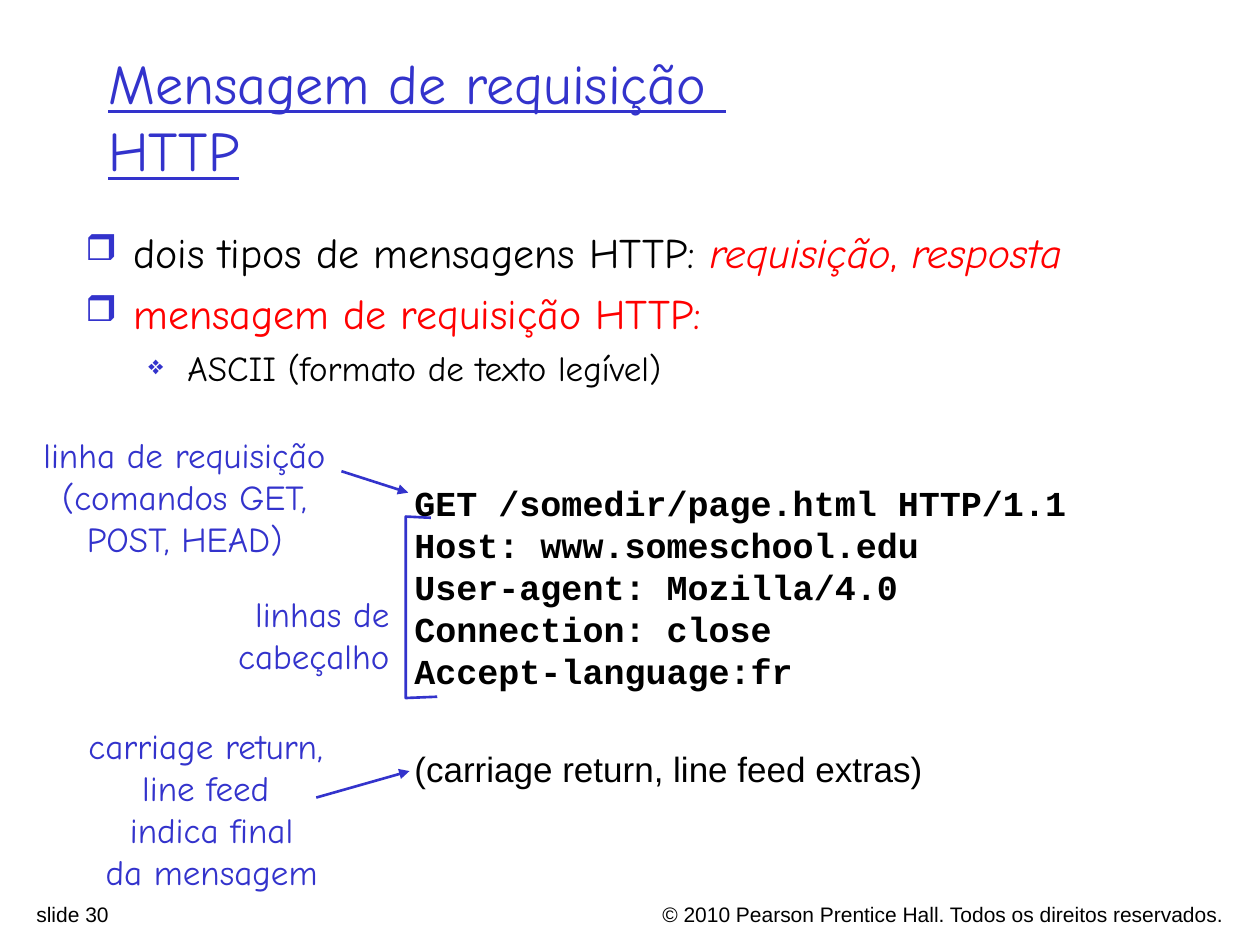
from lxml import etree
from pptx import Presentation
from pptx.dml.color import RGBColor
from pptx.enum import shapes, text
from pptx.oxml import ns
from pptx.util import Inches, Pt

BLUE = RGBColor(0x33, 0x33, 0xCC)
RED = RGBColor(0xFF, 0x00, 0x00)
BLACK = RGBColor(0x00, 0x00, 0x00)
HAND, MONO, SANS = "Comic Neue", "Courier New", "Arial"
LEFT, CENTER, RIGHT = text.PP_ALIGN.LEFT, text.PP_ALIGN.CENTER, text.PP_ALIGN.RIGHT

TITLE = ["Mensagem de requisição \vHTTP"]
TOP_LEVEL = dict(margin=0.38, hang=0.38, mark="❒", mark_size=85, before=0, size=24)
SECOND = dict(margin=0.81, hang=0.31, mark="❖", mark_size=75, before=5, size=20)
BULLETS = [
    (TOP_LEVEL, [
        ("dois tipos de mensagens HTTP: ", BLACK, False),
        ("requisição", RED, True),
        (", ", RED, False),
        ("resposta", RED, True),
    ]),
    (dict(TOP_LEVEL, before=6), [("mensagem de requisição HTTP:", RED, False)]),
    (SECOND, [("ASCII (formato de texto legível)", BLACK, False)]),
]
REQUEST = [
    "GET /somedir/page.html HTTP/1.1",
    "Host: www.someschool.edu",
    "User-agent: Mozilla/4.0",
    "Connection: close",
    "Accept-language:fr",
]
REQUEST_END = "(carriage return, line feed extras)"
LABELS = [
    ((0.24, 3.39, 2.45, 1.1), CENTER,
     ["linha de requisição", "(comandos GET,\vPOST, HEAD)"]),
    ((1.79, 4.65, 1.4, 0.77), RIGHT, ["linhas de", "cabeçalho"]),
    ((0.6, 5.7, 2.16, 1.44), CENTER,
     ["carriage return, ", "line feed ", "indica final\vda mensagem"]),
]
ARROWS = [((2.71, 3.74), (3.24, 3.91)), ((2.51, 6.33), (3.25, 6.12))]
HEADER_BRACKET = [(3.42, 4.11), (3.22, 4.1), (3.22, 5.54), (3.47, 5.53)]
FOOTERS = [
    ((4.7, 7.11, 5.11, 0.24), RIGHT,
     ["© 2010 Pearson Prentice Hall. Todos os direitos reservados."]),
    ((0.19, 7.11, 3.52, 0.23), LEFT, ["slide 30"]),
]


def style(run, font, size, color, **flags):
    run.font.name = font
    run.font.size = Pt(size)
    run.font.color.rgb = color
    for flag, value in flags.items():
        setattr(run.font, flag, value)


def add_frame(slide, box, wrap=True):
    frame = slide.shapes.add_textbox(*map(Inches, box)).text_frame
    frame.word_wrap = wrap
    return frame


def add_lines(slide, box, lines, font, size, color, align=LEFT, wrap=True, **flags):
    frame = add_frame(slide, box, wrap)
    frame.text = "\n".join(lines)
    for paragraph in frame.paragraphs:
        paragraph.alignment = align
        for run in paragraph.runs:
            style(run, font, size, color, **flags)
    return frame


def add_bullet(paragraph, level):
    properties = paragraph._p.get_or_add_pPr()
    properties.set("marL", str(Inches(level["margin"])))
    properties.set("indent", str(-Inches(level["hang"])))
    mark_color = etree.SubElement(properties, ns.qn("a:buClr"))
    etree.SubElement(mark_color, ns.qn("a:srgbClr"), val=str(BLUE))
    etree.SubElement(properties, ns.qn("a:buSzPct"), val=str(level["mark_size"] * 1000))
    etree.SubElement(properties, ns.qn("a:buChar"), char=level["mark"])
    paragraph.space_before = Pt(level["before"])


def add_bullets(slide, box):
    frame = add_frame(slide, box)
    for index, (level, parts) in enumerate(BULLETS):
        paragraph = frame.add_paragraph() if index else frame.paragraphs[0]
        add_bullet(paragraph, level)
        for words, color, italic in parts:
            run = paragraph.add_run()
            run.text = words
            style(run, HAND, level["size"], color, italic=italic)


def add_request(slide, box):
    frame = add_lines(slide, box, REQUEST, MONO, 20, BLACK, wrap=False, bold=True)
    ending = frame.add_paragraph()
    ending.text = REQUEST_END
    ending.space_before = Pt(32)
    style(ending.runs[0], SANS, 20, BLACK)


def add_arrow(slide, start, end):
    arrow = slide.shapes.add_connector(
        shapes.MSO_CONNECTOR.STRAIGHT, *map(Inches, start + end))
    arrow.line.color.rgb = BLUE
    arrow.line.width = Pt(1.5)
    etree.SubElement(arrow.line._get_or_add_ln(), ns.qn("a:tailEnd"), type="triangle")
    etree.SubElement(arrow._element.spPr, ns.qn("a:effectLst"))


def add_bracket(slide):
    corners = [tuple(map(Inches, point)) for point in HEADER_BRACKET]
    builder = slide.shapes.build_freeform(*corners[0])
    builder.add_line_segments(corners[1:], close=False)
    bracket = builder.convert_to_shape()
    bracket.shadow.inherit = False
    bracket.fill.background()
    bracket.line.color.rgb = BLUE
    bracket.line.width = Pt(1.5)


def main():
    deck = Presentation()
    deck.slide_width, deck.slide_height = Inches(10), Inches(7.5)
    slide = deck.slides.add_slide(deck.slide_layouts[6])
    for box, align, lines in FOOTERS:
        add_lines(slide, box, lines, SANS, 12, BLACK, align)
    title = add_lines(slide, (0.76, 0.29, 8.5, 1.25), TITLE, HAND, 32, BLUE, underline=True)
    title.vertical_anchor = text.MSO_ANCHOR.MIDDLE
    add_bullets(slide, (0.58, 1.75, 9.07, 1.45))
    add_request(slide, (3.19, 3.77, 5.38, 2.57))
    for box, align, lines in LABELS:
        add_lines(slide, box, lines, HAND, 20, BLUE, align, wrap=False)
    for start, end in ARROWS:
        add_arrow(slide, start, end)
    add_bracket(slide)
    deck.save("out.pptx")


if __name__ == "__main__":
    main()
